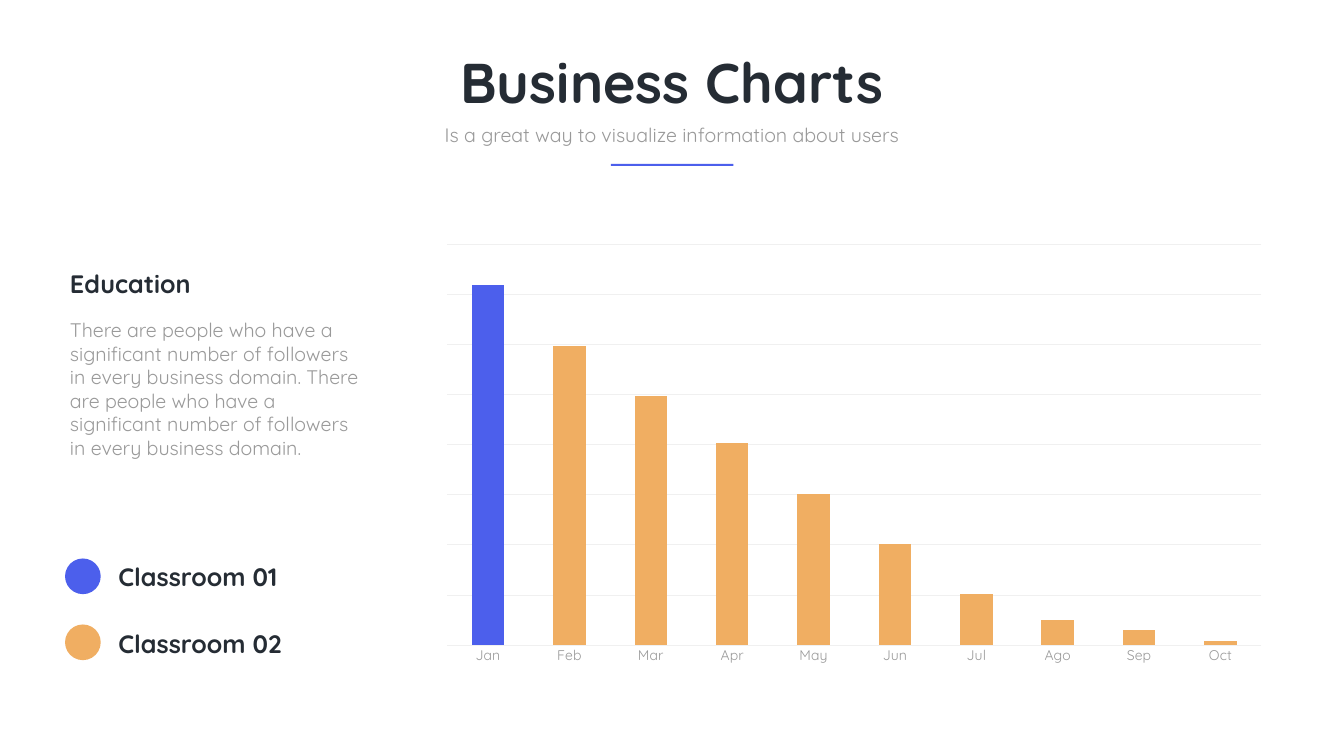
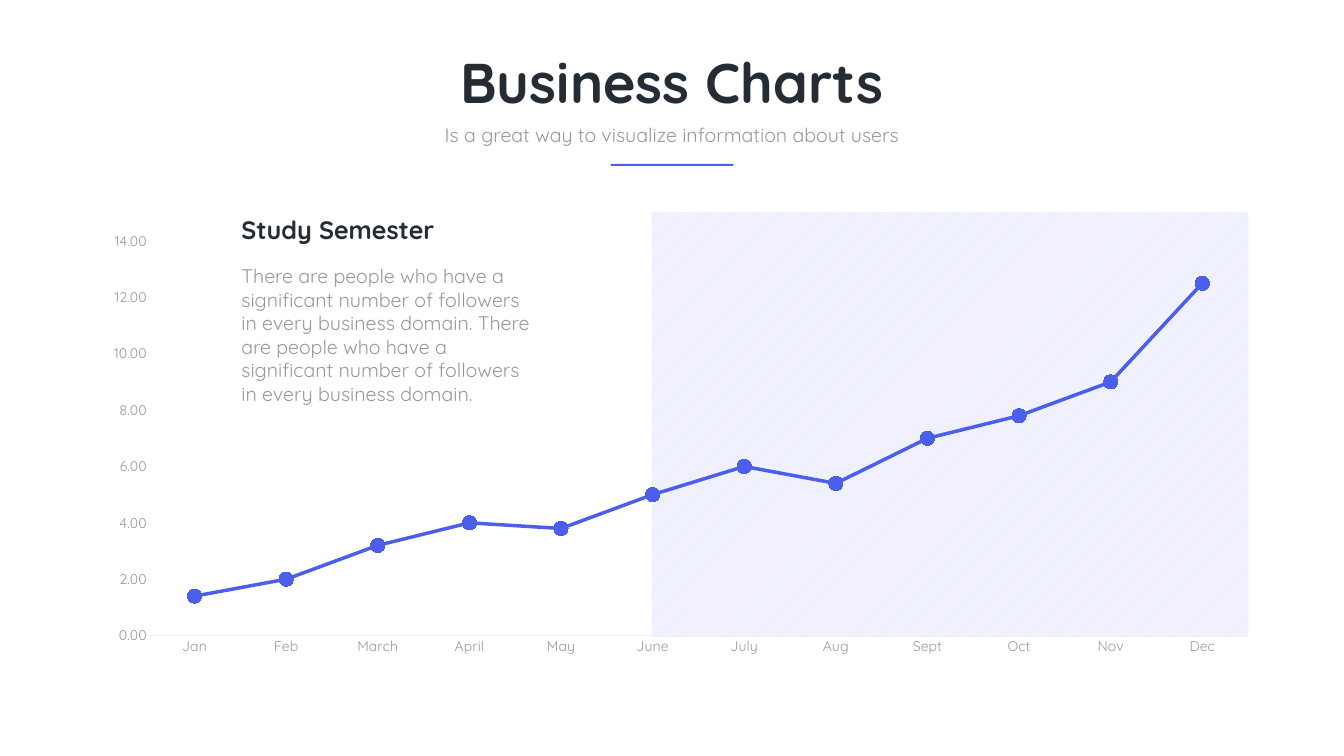
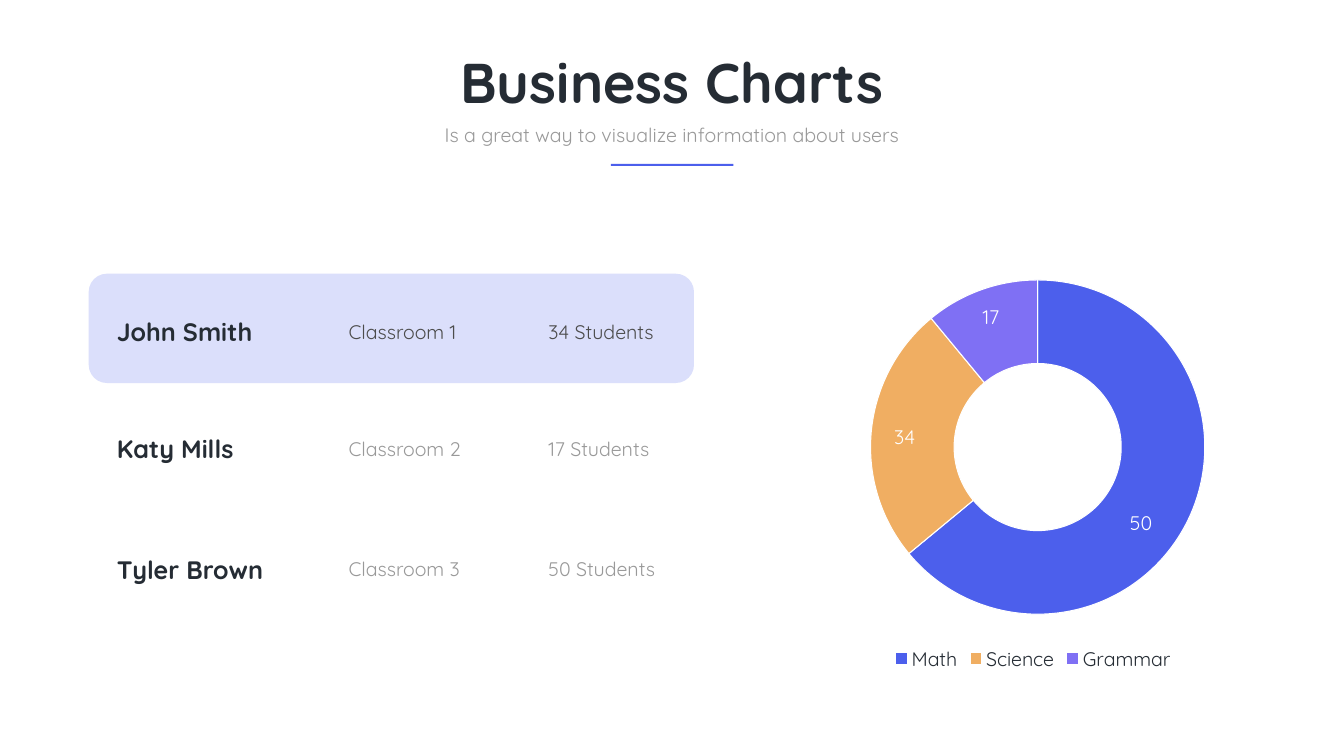
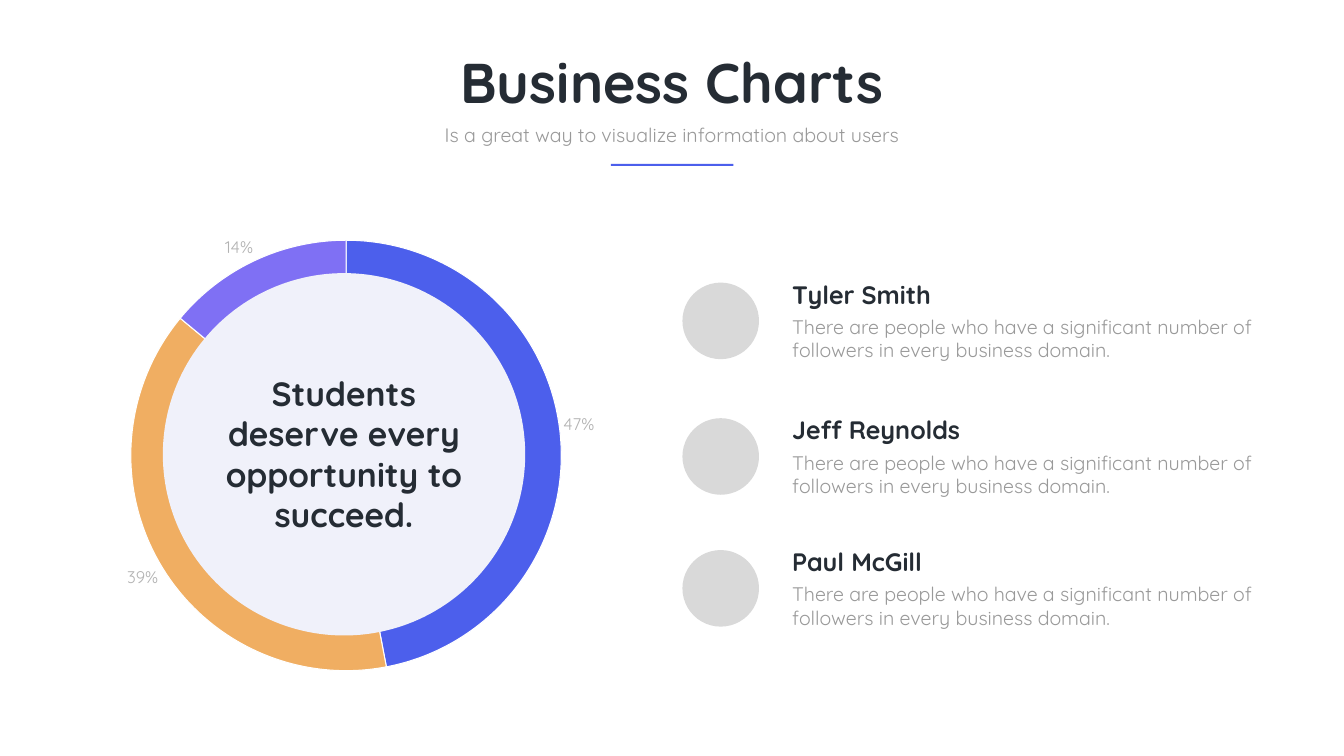
"""Build four slides of business charts."""
from dataclasses import dataclass
from typing import NamedTuple

import lxml.etree
import pptx
import pptx.chart.chart
import pptx.chart.data
import pptx.dml.color
import pptx.dml.fill
import pptx.enum.chart
import pptx.enum.dml
import pptx.enum.shapes
import pptx.enum.text
import pptx.oxml.ns
import pptx.shapes.autoshape
import pptx.slide
import pptx.text.text
import pptx.util

Pt = pptx.util.Pt
Kind = pptx.enum.chart.XL_CHART_TYPE
Form = pptx.enum.shapes.MSO_SHAPE
Align = pptx.enum.text.PP_ALIGN

FACE = "Quicksand"
BLUE, GOLD, PLUM = "4C5FEC", "F0AE62", "7F70F4"
INK, SLATE, GREY, PALE = "252C34", "4C4C4C", "999999", "F0F0F0"
LILAC, WHITE = "DBDFFB", "FFFFFF"
CLAIM = "There are people who have a significant number of followers in every business domain."


class Box(NamedTuple):
    """Left, top, width and height in points."""
    x: float
    y: float
    w: float
    h: float


class Style(NamedTuple):
    """Size, colour, weight and alignment of a text."""
    size: float
    color: str
    bold: bool = False
    align: Align = Align.LEFT


@dataclass
class Group:
    """A row of the class list."""
    name: str
    room: str
    count: str
    y: float
    color: str = GREY


@dataclass
class Person:
    """A person with a round portrait spot."""
    name: str
    y: float


TITLE = Style(80, INK, True, Align.CENTER)
HEAD = Style(36, INK, True)
BODY = Style(28, GREY)
NOTE = Style(28, GREY, False, Align.CENTER)
LABEL = Style(28, WHITE, False, Align.CENTER)
QUOTE = Style(48, INK, True, Align.CENTER)

GROUPS = [
    Group("John Smith", "Classroom 1", "34 Students", 447.8, SLATE),
    Group("Katy Mills", "Classroom 2", "17 Students", 615.6),
    Group("Tyler Brown", "Classroom 3", "50 Students", 787.7),
]
PEOPLE = [Person("Tyler Smith", 395.3), Person("Jeff Reynolds", 589), Person("Paul McGill", 777.4)]


def hue(code: str) -> pptx.dml.color.RGBColor:
    """Turn a hex string into a colour."""
    return pptx.dml.color.RGBColor.from_string(code)


def paint(fill: pptx.dml.fill.FillFormat, code: str) -> None:
    """Fill with one solid colour."""
    fill.solid()
    fill.fore_color.rgb = hue(code)


def place(box: Box) -> list[pptx.util.Length]:
    """Turn a box into four lengths."""
    return [Pt(side) for side in box]


def dress(font: pptx.text.text.Font, size: float, code: str, face: str = FACE) -> None:
    """Set size, colour and face of a font."""
    font.size, font.name = Pt(size), face
    font.color.rgb = hue(code)


def pen(line: pptx.dml.line.LineFormat, code: str, width: float) -> None:
    """Set colour and width of a line."""
    line.color.rgb = hue(code)
    line.width = Pt(width)


def fit(frame: pptx.text.text.TextFrame, text: str, style: Style) -> None:
    """Put a styled text in a frame."""
    frame.text = text
    frame.word_wrap = True
    frame.auto_size = pptx.enum.text.MSO_AUTO_SIZE.NONE
    frame.vertical_anchor = pptx.enum.text.MSO_ANCHOR.TOP
    frame.margin_left = frame.margin_right = Pt(7.2)
    frame.margin_top = frame.margin_bottom = Pt(3.6)
    para = frame.paragraphs[0]
    para.alignment = style.align
    dress(para.font, style.size, style.color)
    para.font.bold = style.bold


def write(slide: pptx.slide.Slide, box: Box, text: str, style: Style) -> None:
    """Add a text box."""
    fit(slide.shapes.add_textbox(*place(box)).text_frame, text, style)


def shape(slide: pptx.slide.Slide, form: Form, box: Box, code: str) -> pptx.shapes.autoshape.Shape:
    """Add a plain filled shape."""
    item = slide.shapes.add_shape(form, *place(box))
    item.shadow.inherit = False
    item.line.fill.background()
    paint(item.fill, code)
    return item


def start(deck: pptx.presentation.Presentation) -> pptx.slide.Slide:
    """Add a slide with the shared heading."""
    slide = deck.slides.add_slide(deck.slide_layouts[5])
    title = slide.shapes.title
    title.left, title.top, title.width, title.height = place(Box(495.4, 64.8, 929.5, 104.4))
    fit(title.text_frame, "Business Charts", TITLE)
    write(slide, Box(615.6, 171.4, 688.3, 41), "Is a great way to visualize information about users", NOTE)
    shape(slide, Form.RECTANGLE, Box(872.6, 234, 175, 2.9), BLUE)
    return slide


def blurb(slide: pptx.slide.Slide, x: float, y: float, head: str) -> None:
    """Add a heading with the claim given twice below it."""
    write(slide, Box(x, y, 432, 51), head, HEAD)
    write(slide, Box(x, y + 70.6, 432, 211), f"{CLAIM} {CLAIM}", BODY)


def graph(slide: pptx.slide.Slide, kind: Kind, box: Box, names: list[str],
          vals: list[float], size: float, face: str = FACE) -> pptx.chart.chart.Chart:
    """Add a chart of one series."""
    data = pptx.chart.data.CategoryChartData()
    data.categories = names
    data.add_series("Series 1", vals)
    chart = slide.shapes.add_chart(kind, *place(box), data).chart
    chart.has_title = chart.has_legend = False
    dress(chart.font, size, GREY, face)
    chart.plots[0].vary_by_categories = False
    return chart


def inset(chart: pptx.chart.chart.Chart, x: float, y: float, w: float, h: float) -> None:
    """Fix the inner plot area as parts of the chart."""
    ns = pptx.oxml.ns.qn
    area = chart.plots[0]._element.getparent()
    for old in area.findall(ns("c:layout")):
        area.remove(old)
    layout = lxml.etree.Element(ns("c:layout"))
    area.insert(0, layout)
    manual = lxml.etree.SubElement(layout, ns("c:manualLayout"))
    parts = {"layoutTarget": "inner", "xMode": "edge", "yMode": "edge", "x": x, "y": y, "w": w, "h": h}
    for key, val in parts.items():
        lxml.etree.SubElement(manual, ns(f"c:{key}")).set("val", str(val))


def axes(chart: pptx.chart.chart.Chart, top: float, step: float) -> None:
    """Style both axes and scale the value axis."""
    none = pptx.enum.chart.XL_TICK_MARK.NONE
    for axis in (chart.category_axis, chart.value_axis):
        axis.major_tick_mark = axis.minor_tick_mark = none
        axis.has_major_gridlines = False
        dress(axis.tick_labels.font, 20, GREY)
    pen(chart.category_axis.format.line, PALE, 0.75)
    scale = chart.value_axis
    scale.minimum_scale, scale.maximum_scale, scale.major_unit = 0, top, step
    scale.format.line.fill.background()


def slices(chart: pptx.chart.chart.Chart) -> None:
    """Colour the three slices."""
    chart.plots[0].vary_by_categories = True
    for i, code in enumerate((BLUE, GOLD, PLUM)):
        part = chart.plots[0].series[0].points[i].format
        paint(part.fill, code)
        pen(part.line, WHITE, 1.5)


def columns(deck: pptx.presentation.Presentation) -> None:
    """Build the slide with the column chart."""
    slide = start(deck)
    months = ["Jan", "Feb", "Mar", "Apr", "May", "Jun", "Jul", "Ago", "Sep", "Oct"]
    chart = graph(slide, Kind.COLUMN_STACKED, Box(614.9, 337, 1211, 625), months,
                  [100, 83, 69, 56, 42, 28, 14, 7, 4, 1], 20)
    axes(chart, 111.2, 13.9)
    chart.value_axis.visible = False
    chart.value_axis.has_major_gridlines = True
    pen(chart.value_axis.major_gridlines.format.line, PALE, 0.75)
    plot = chart.plots[0]
    plot.gap_width, plot.overlap = 150, 100
    paint(plot.series[0].format.fill, GOLD)
    paint(plot.series[0].points[0].format.fill, BLUE)
    blurb(slide, 92.9, 380.2, "Education")
    for i, code in enumerate((BLUE, GOLD)):
        shape(slide, Form.OVAL, Box(92.9, 797.8 + 94.3 * i, 51, 51), code)
        write(slide, Box(162, 797.8 + 96.5 * i, 305, 51), f"Classroom 0{i + 1}", HEAD)


def trend(deck: pptx.presentation.Presentation) -> None:
    """Build the slide with the line chart."""
    slide = start(deck)
    band = shape(slide, Form.RECTANGLE, Box(931, 303.1, 852.5, 607), LILAC)
    band.fill.patterned()
    band.fill.pattern = pptx.enum.dml.MSO_PATTERN.WIDE_UPWARD_DIAGONAL
    band.fill.fore_color.rgb = hue(LILAC)
    band.fill.back_color.rgb = hue("F3F4FF")
    months = ["Jan", "Feb", "March", "April", "May", "June",
              "July", "Aug", "Sept", "Oct", "Nov", "Dec"]
    chart = graph(slide, Kind.LINE_MARKERS, Box(136.8, 321.8, 1646.6, 625), months,
                  [1.4, 2, 3.2, 4, 3.8, 5, 6, 5.4, 7, 7.8, 9, 12.5], 20)
    axes(chart, 14, 2)
    inset(chart, 0.046, 0.036, 0.954, 0.902)
    ticks = chart.value_axis.tick_labels
    ticks.number_format, ticks.number_format_is_linked = "#,##0.00", False
    line = chart.plots[0].series[0]
    line.smooth = False
    pen(line.format.line, BLUE, 5)
    line.marker.style = pptx.enum.chart.XL_MARKER_STYLE.CIRCLE
    line.marker.size = 20
    paint(line.marker.format.fill, BLUE)
    pen(line.marker.format.line, BLUE, 0.75)
    blurb(slide, 337.7, 303.1, "Study Semester")


def ring(deck: pptx.presentation.Presentation) -> None:
    """Build the slide with the class list and doughnut."""
    slide = start(deck)
    chart = graph(slide, Kind.DOUGHNUT, Box(1157.8, 375.8, 635.8, 588.2),
                  ["Math", "Science", "Grammar"], [64, 25, 11], 10, "Calibri")
    slices(chart)
    inset(chart, 0.135, 0.041, 0.751, 0.812)
    plot = chart.plots[0]
    plot.has_data_labels = False
    plot._element.find(pptx.oxml.ns.qn("c:holeSize")).set("val", "59")
    chart.has_legend = True
    chart.legend.position = pptx.enum.chart.XL_LEGEND_POSITION.BOTTOM
    chart.legend.include_in_layout = False
    dress(chart.legend.font, 28, INK)
    for text, x, y in (("17", 1368, 432), ("50", 1582.6, 725.8), ("34", 1244.9, 604.1)):
        write(slide, Box(x, y, 95, 41), text, LABEL)
    shape(slide, Form.ROUNDED_RECTANGLE, Box(126.7, 391, 864.7, 156.2), LILAC)
    for row in GROUPS:
        style = BODY._replace(color=row.color)
        write(slide, Box(159.8, row.y, 255, 51), row.name, HEAD)
        write(slide, Box(491, row.y + 5, 215, 41), row.room, style)
        write(slide, Box(776.2, row.y + 5, 215, 41), row.count, style)


def team(deck: pptx.presentation.Presentation) -> None:
    """Build the slide with the pie and the people."""
    slide = start(deck)
    chart = graph(slide, Kind.PIE, Box(100.1, 257.8, 1373.8, 783.4),
                  ["1", "2", "3"], [47, 39, 14], 10, "Calibri")
    slices(chart)
    inset(chart, 0.063, 0.109, 0.448, 0.785)
    plot = chart.plots[0]
    plot.has_data_labels = True
    tags = plot.data_labels
    tags.show_value, tags.show_percentage = False, True
    tags.number_format, tags.number_format_is_linked = "#,##0%", False
    tags.position = pptx.enum.chart.XL_LABEL_POSITION.OUTSIDE_END
    dress(tags.font, 24, "B2B2B2")
    shape(slide, Form.OVAL, Box(232.6, 390.2, 517.7, 517.7), "F0F1FA")
    for one in PEOPLE:
        shape(slide, Form.OVAL, Box(974.9, one.y + 8.4, 109.4, 109.4), "D9D9D9")
        write(slide, Box(1124.6, one.y, 558, 51), one.name, HEAD)
        write(slide, Box(1124.6, one.y + 51, 695, 75), CLAIM, BODY)
    write(slide, Box(314.6, 529.2, 353.5, 239.8), "Students deserve every opportunity to succeed.", QUOTE)


def main() -> None:
    """Build and save the deck."""
    deck = pptx.Presentation()
    deck.slide_width, deck.slide_height = Pt(1920), Pt(1080)
    for build in (columns, trend, ring, team):
        build(deck)
    deck.save("out.pptx")


if __name__ == "__main__":
    main()
